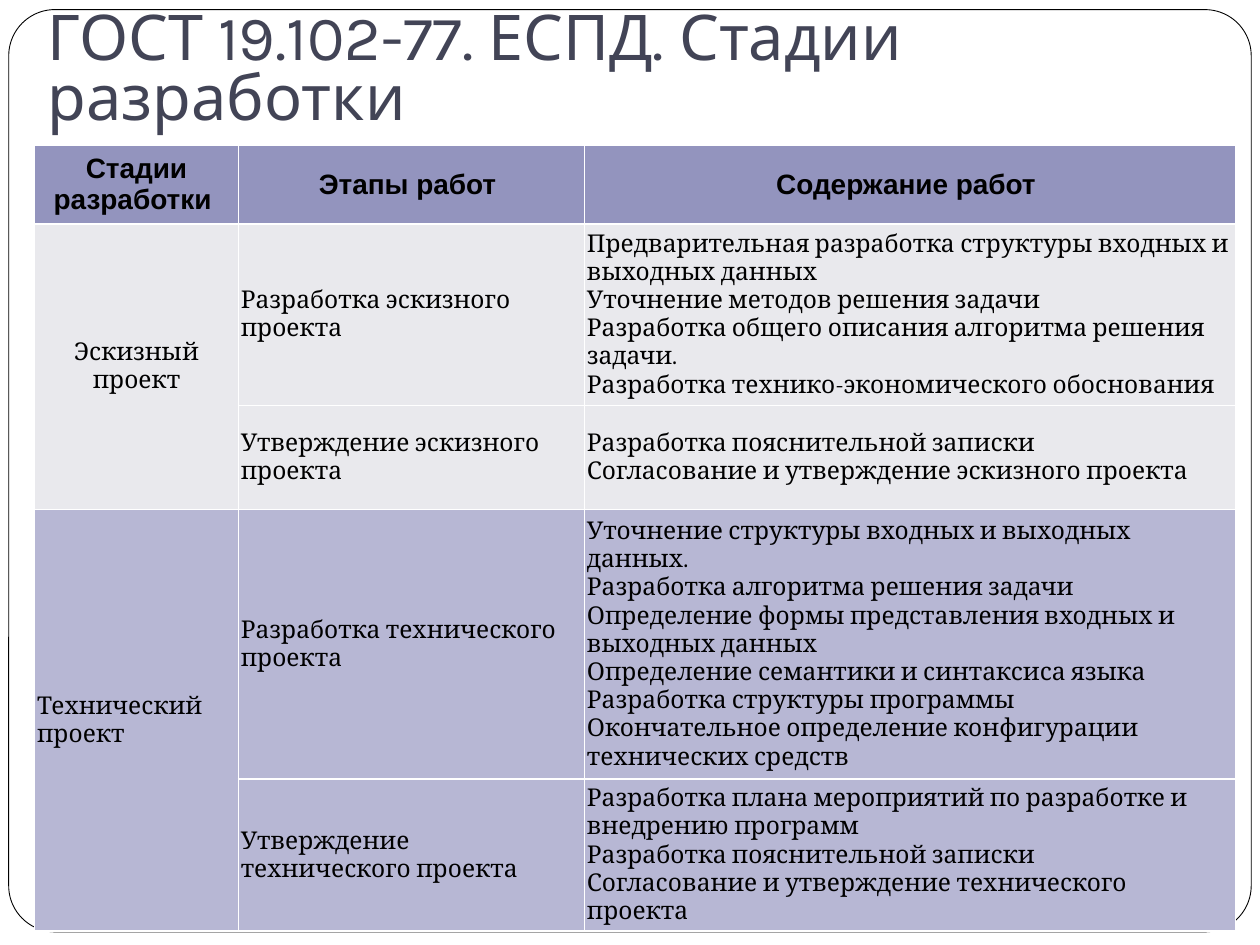
from lxml import etree
from pptx import Presentation
from pptx.dml.color import RGBColor
from pptx.enum.shapes import MSO_SHAPE
from pptx.enum.text import MSO_ANCHOR, PP_ALIGN
from pptx.oxml.ns import qn
from pptx.util import Pt

ROUND = MSO_SHAPE.ROUNDED_RECTANGLE
MID, LOW = MSO_ANCHOR.MIDDLE, MSO_ANCHOR.BOTTOM
LEFT, MIDDLE = PP_ALIGN.LEFT, PP_ALIGN.CENTER

# Content
TITLE = "ГОСТ 19.102-77. ЕСПД. Стадии разработки"
HEADS = ["Стадии разработки\u00a0", "Этапы работ\u00a0", "Содержание работ\u00a0"]
STAGES = [
    ("Эскизный проект", MIDDLE, "E9E9ED", [
        ("Разработка эскизного проекта", [
            "Предварительная разработка структуры входных и выходных данных",
            "Уточнение методов решения задачи",
            "Разработка общего описания алгоритма решения задачи.",
            "Разработка технико-экономического обоснования"]),
        ("Утверждение эскизного проекта", [
            "Разработка пояснительной записки",
            "Согласование и утверждение эскизного проекта"]),
    ]),
    ("Технический проект", LEFT, "B7B7D4", [
        ("Разработка технического проекта", [
            "Уточнение структуры входных и выходных данных.",
            "Разработка алгоритма решения задачи",
            "Определение формы представления входных и выходных данных",
            "Определение семантики и синтаксиса языка",
            "Разработка структуры программы",
            "Окончательное определение конфигурации технических средств"]),
        ("Утверждение технического проекта", [
            "Разработка плана мероприятий по разработке и внедрению программ",
            "Разработка пояснительной записки",
            "Согласование и утверждение технического проекта"]),
    ]),
]
COLS = [116.4, 197.8, 372]
ROWS = [45, 99.5, 59.5, 148.5, 83]


class Theme:
    paper, ink, title, head = "FFFFFF", "000000", "424456", "9394BE"
    title_type = ("Karla", 36, False)
    head_type = ("Arial", 16, True)
    body_type = ("Cambria", 14, False)


def rgb(code):
    return RGBColor.from_string(code)


def style(frame, kind, color, align=LEFT):
    name, size, bold = kind
    for para in frame.paragraphs:
        para.alignment = align
        for run in para.runs:
            font = run.font
            font.name, font.size, font.bold = name, Pt(size), bold
            font.color.rgb = rgb(color)


def border(cell):
    props = cell._tc.get_or_add_tcPr()
    for i, side in enumerate(("lnL", "lnR", "lnT", "lnB")):
        line = etree.Element(qn("a:" + side), w=str(Pt(1)))
        fill = etree.SubElement(line, qn("a:solidFill"))
        etree.SubElement(fill, qn("a:srgbClr"), val=Theme.paper)
        props.insert(i, line)


def put(cell, text, kind, align=LEFT, pad=1.4):
    cell.text_frame.text = text
    cell.vertical_anchor = MID
    cell.margin_left = cell.margin_right = Pt(pad)
    cell.margin_top = cell.margin_bottom = Pt(pad)
    style(cell.text_frame, kind, Theme.ink, align)


def paint(cell, color):
    cell.fill.solid()
    cell.fill.fore_color.rgb = rgb(color)
    border(cell)


deck = Presentation()
deck.slide_width, deck.slide_height = Pt(720), Pt(540)
shapes = deck.slides.add_slide(deck.slide_layouts[6]).shapes

# Rounded frame
frame = shapes.add_shape(ROUND, Pt(5), Pt(5.5), Pt(710), Pt(527))
frame.adjustments[0] = 0.05
frame.shadow.inherit = False
frame.fill.solid()
frame.fill.fore_color.rgb = rgb(Theme.paper)
frame.line.color.rgb = rgb(Theme.ink)
frame.line.width = Pt(0.5)

# Title
text = shapes.add_textbox(Pt(20), Pt(20.7), Pt(675), Pt(62.5)).text_frame
text.word_wrap = True
text.vertical_anchor = LOW
text.margin_bottom = Pt(7.2)
text.text = TITLE
text.paragraphs[0].line_spacing = 0.8
style(text, Theme.title_type, Theme.title)

# Table
table = shapes.add_table(len(ROWS), len(COLS), Pt(19.8), Pt(83),
                         Pt(sum(COLS)), Pt(sum(ROWS))).table
for col, width in zip(table.columns, COLS):
    col.width = Pt(width)
for row, height in zip(table.rows, ROWS):
    row.height = Pt(height)

for c, head in enumerate(HEADS):
    put(table.cell(0, c), head, Theme.head_type, MIDDLE, 0)
    paint(table.cell(0, c), Theme.head)

top = 1
for stage, align, color, steps in STAGES:
    table.cell(top, 0).merge(table.cell(top + len(steps) - 1, 0))
    put(table.cell(top, 0), stage, Theme.body_type, align,
        0 if align == MIDDLE else 1.4)
    for r, (step, tasks) in enumerate(steps, top):
        put(table.cell(r, 1), step, Theme.body_type)
        put(table.cell(r, 2), "\v".join(tasks), Theme.body_type)
        for c in range(len(COLS)):
            paint(table.cell(r, c), color)
    top += len(steps)

deck.save("out.pptx")
